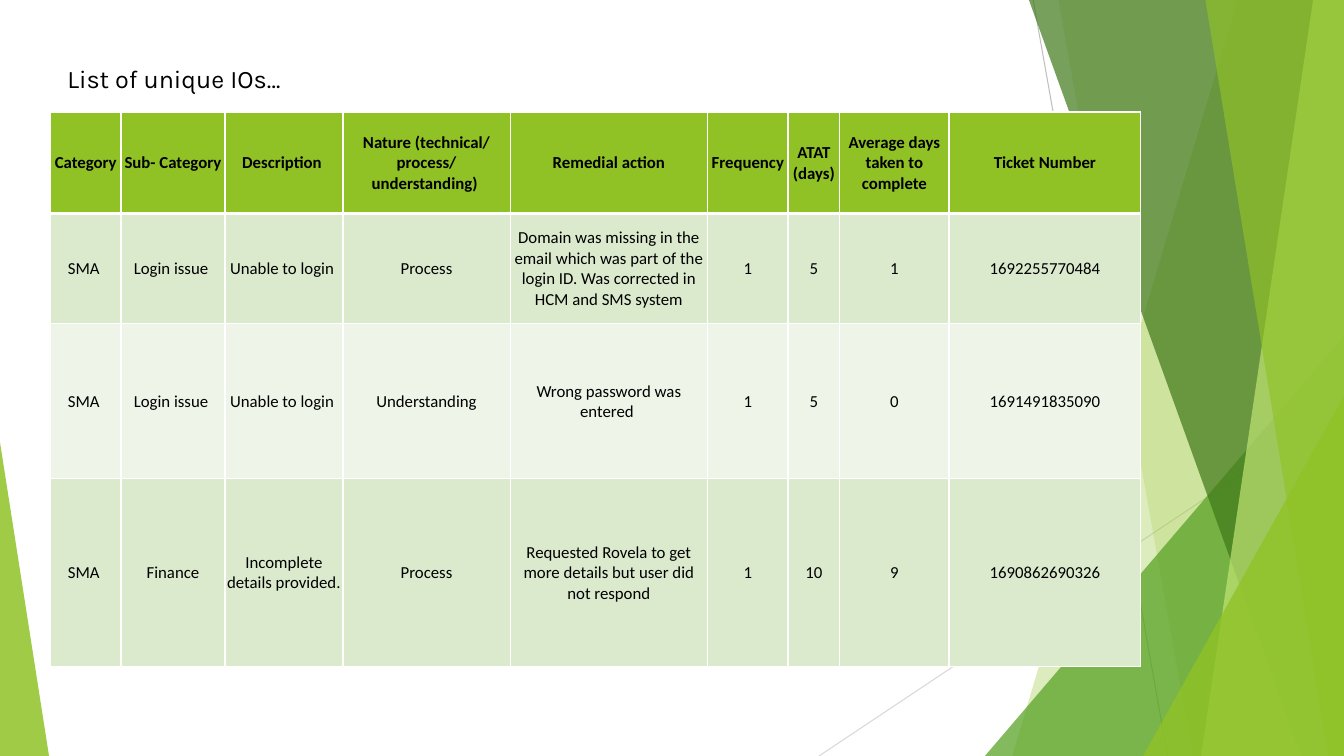
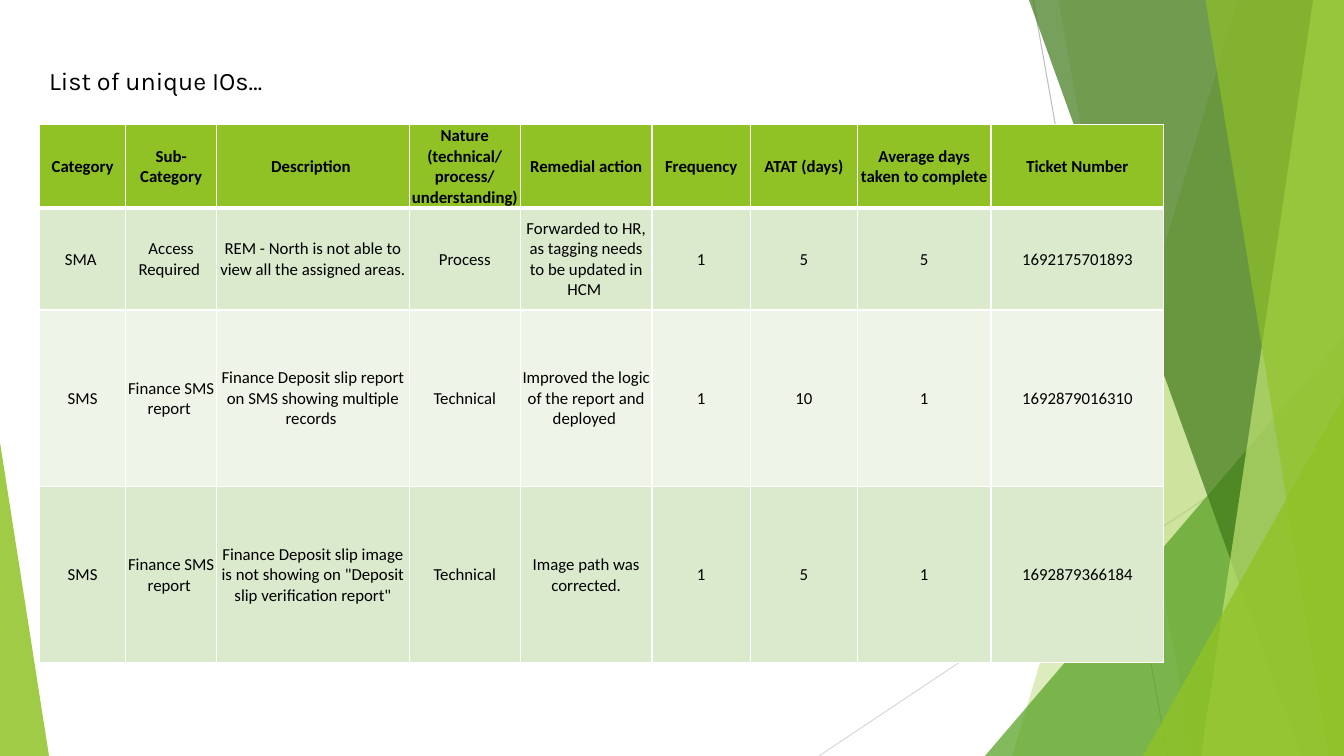
from collections import namedtuple
from dataclasses import dataclass

from lxml import etree
from pptx import Presentation
from pptx.dml.color import RGBColor
from pptx.enum.shapes import MSO_CONNECTOR, MSO_SHAPE
from pptx.enum.text import MSO_ANCHOR, PP_ALIGN
from pptx.oxml.ns import qn
from pptx.util import Pt

STRAIGHT = MSO_CONNECTOR.STRAIGHT
TRIANGLE = MSO_SHAPE.ISOSCELES_TRIANGLE
MIDDLE = MSO_ANCHOR.MIDDLE
CENTER = PP_ALIGN.CENTER

Box = namedtuple("Box", "left top width height")
PAGE = Box(0, 0, 960, 540)


@dataclass(frozen=True)
class Theme:
    lime: str = "90C226"
    green: str = "54A021"
    forest: str = "3F7819"
    pale_lime: str = "C0E474"
    steep_line: str = "BFBFBF"
    flat_line: str = "D9D9D9"
    band_dark: str = "DBE9CD"
    band_light: str = "EEF4E8"
    text: str = "000000"
    border: str = "FFFFFF"
    title_font: str = "Karla"
    table_font: str = "Calibri"
    title_size: float = 18
    table_size: float = 12
    hairline: float = 0.75
    thin_border: float = 1
    thick_border: float = 3
    cell_inset: float = 0.7


THEME = Theme()

# Backdrop: lines as start and end, panels as top and bottom x of the slanted edge
LINES = [
    ((738, 0), (834, 540), THEME.steep_line),
    ((960, 290), (585, 540), THEME.flat_line),
]
REAR_PANELS = [(884, 723, THEME.lime, 30), (756, 852, THEME.lime, 20)]
FRONT_PANELS = [
    (735, 929.5, THEME.forest, 70),
    (938, 858, THEME.pale_lime, 70),
    (861, 949, THEME.lime, 65),
]
# Triangles: box, apex position from 0 (left) to 1 (right), colour, opacity
REAR_TRIANGLE = (Box(703.5, 240, 256.5, 300), 1, THEME.green, 72)
RIGHT_TRIANGLE = (Box(816.5, 283, 143.5, 257), 1, THEME.lime, 80)
LEFT_TRIANGLE = (Box(0, 316, 35, 224), 0, THEME.lime, 85)

TITLE = "List of unique IOs…"
HEADERS = [
    "Category", "Sub- Category", "Description ",
    "Nature (technical/ process/ understanding) ", "Remedial action",
    "Frequency", "ATAT (days)", "Average days taken to complete", "Ticket Number",
]

ISSUE_SLIDES = [
    {
        "title_box": Box(41, 42, 200, 29),
        "table_box": Box(36, 80, 779, 396),
        "columns": [50.5, 74.2, 84.3, 119.5, 141, 57.5, 37, 78, 137],
        "rows": [72.5, 78.5, 111, 134],
        "issues": [
            ["SMA ", "Login issue ", "Unable to login ", "Process",
             "Domain was missing in the email which was part of the login ID. "
             "Was corrected in HCM and SMS system", "1", "5", "1", "1692255770484"],
            ["SMA ", "Login issue ", "Unable to login ", "Understanding",
             "Wrong password was entered ", "1", "5", "0", "1691491835090"],
            ["SMA ", "Finance", "Incomplete details provided.", "Process",
             "Requested Rovela to get more details but user did not respond",
             "1", "10", "9", "1690862690326"],
        ],
    },
    {
        "title_box": Box(28, 43, 200, 29),
        "table_box": Box(28.3, 89.2, 803, 384),
        "columns": [61.5, 65, 137.5, 79.5, 94, 70.3, 76.4, 95.5, 123.3],
        "rows": [59, 73, 126, 126],
        "issues": [
            ["SMA ", "Access Required ",
             "REM - North is not able to view all the assigned areas.", "Process",
             "Forwarded to HR, as tagging needs to be updated in HCM ",
             "1", "5", "5", "1692175701893"],
            ["SMS", "Finance SMS report ",
             "Finance Deposit slip report on SMS showing multiple records ",
             "Technical", "Improved the logic of the report and deployed ",
             "1", "10", "1", "1692879016310"],
            ["SMS", "Finance SMS report ",
             'Finance Deposit slip image is not showing on "Deposit slip '
             'verification report"', "Technical", "Image path was corrected.",
             "1", "5", "1", "1692879366184"],
        ],
    },
]


def color(value):
    return RGBColor.from_string(value)


def points(*lengths):
    return [Pt(length) for length in lengths]


def style_run(paragraph, font_name, size, bold=False):
    font = paragraph.runs[0].font
    font.name, font.size, font.bold = font_name, Pt(size), bold
    font.color.rgb = color(THEME.text)


def paint(shape, fill, opacity):
    """Give a shape a translucent fill without line or shadow."""
    shape.shadow.inherit = False
    shape.line.fill.background()
    shape.fill.solid()
    shape.fill.fore_color.rgb = color(fill)
    solid_fill = shape.element.spPr.find(qn("a:solidFill"))
    etree.SubElement(solid_fill[0], qn("a:alpha"), val=str(opacity * 1000))


def add_line(slide, box, start, end, line_color):
    ends = [box.left + start[0], box.top + start[1], box.left + end[0], box.top + end[1]]
    line = slide.shapes.add_connector(STRAIGHT, *points(*ends))
    line.line.color.rgb = color(line_color)
    line.line.width = Pt(THEME.hairline)
    etree.SubElement(line.element.spPr, qn("a:effectLst"))


def add_panel(slide, box, top_x, bottom_x, fill, opacity):
    """Fill the area between a slanted edge and the right side of the box."""
    right, bottom = box.left + box.width, box.top + box.height
    outline = slide.shapes.build_freeform(*points(box.left + top_x, box.top))
    corners = [(right, box.top), (right, bottom), (box.left + bottom_x, bottom)]
    outline.add_line_segments([points(*corner) for corner in corners], close=True)
    paint(outline.convert_to_shape(), fill, opacity)


def add_triangle(slide, box, place, apex, fill, opacity):
    position = points(box.left + place.left, box.top + place.top, place.width, place.height)
    triangle = slide.shapes.add_shape(TRIANGLE, *position)
    triangle.adjustments[0] = apex
    paint(triangle, fill, opacity)


def add_backdrop(slide, box):
    for line in LINES:
        add_line(slide, box, *line)
    for panel in REAR_PANELS:
        add_panel(slide, box, *panel)
    add_triangle(slide, box, *REAR_TRIANGLE)
    for panel in FRONT_PANELS:
        add_panel(slide, box, *panel)
    for triangle in (RIGHT_TRIANGLE, LEFT_TRIANGLE):
        add_triangle(slide, box, *triangle)


def add_title(slide, box, text):
    text_frame = slide.shapes.add_textbox(*points(*box)).text_frame
    text_frame.word_wrap = True
    text_frame.text = text
    style_run(text_frame.paragraphs[0], THEME.title_font, THEME.title_size)


def set_borders(cell, top_width, bottom_width):
    thin = THEME.thin_border
    properties = cell._tc.get_or_add_tcPr()
    sides = {"L": thin, "R": thin, "T": top_width, "B": bottom_width}
    for side, width in sides.items():
        border = etree.SubElement(properties, qn("a:ln" + side), w=str(Pt(width)))
        fill = etree.SubElement(border, qn("a:solidFill"))
        etree.SubElement(fill, qn("a:srgbClr"), val=THEME.border)


def fill_cell(cell, text, row_index):
    is_header = row_index == 0
    thin, thick = THEME.thin_border, THEME.thick_border
    # Borders come before the fill in the cell's XML
    set_borders(cell, thick if row_index == 1 else thin, thick if is_header else thin)
    band = THEME.band_dark if row_index % 2 else THEME.band_light
    cell.fill.solid()
    cell.fill.fore_color.rgb = color(THEME.lime if is_header else band)
    cell.vertical_anchor = MIDDLE
    cell.margin_left = cell.margin_right = cell.margin_top = Pt(THEME.cell_inset)
    cell.margin_bottom = 0
    cell.text_frame.text = text
    paragraph = cell.text_frame.paragraphs[0]
    paragraph.alignment = CENTER
    style_run(paragraph, THEME.table_font, THEME.table_size, is_header)


def add_issue_table(slide, box, columns, rows, issues):
    frame = slide.shapes.add_table(len(rows), len(columns), *points(*box))
    table = frame.table
    table.first_row = table.horz_banding = False
    # Share the box out in proportion to the given sizes
    for column, width in zip(table.columns, columns):
        column.width = Pt(box.width * width / sum(columns))
    for row, height in zip(table.rows, rows):
        row.height = Pt(box.height * height / sum(rows))
    for row_index, texts in enumerate([HEADERS, *issues]):
        for column_index, text in enumerate(texts):
            fill_cell(table.cell(row_index, column_index), text, row_index)


def add_issue_slide(presentation, title_box, table_box, columns, rows, issues):
    slide = presentation.slides.add_slide(presentation.slide_layouts[6])
    add_backdrop(slide, PAGE)
    add_issue_table(slide, table_box, columns, rows, issues)
    add_title(slide, title_box, TITLE)


def main():
    presentation = Presentation()
    presentation.slide_width, presentation.slide_height = points(PAGE.width, PAGE.height)
    for content in ISSUE_SLIDES:
        add_issue_slide(presentation, **content)
    presentation.save("out.pptx")


if __name__ == "__main__":
    main()
